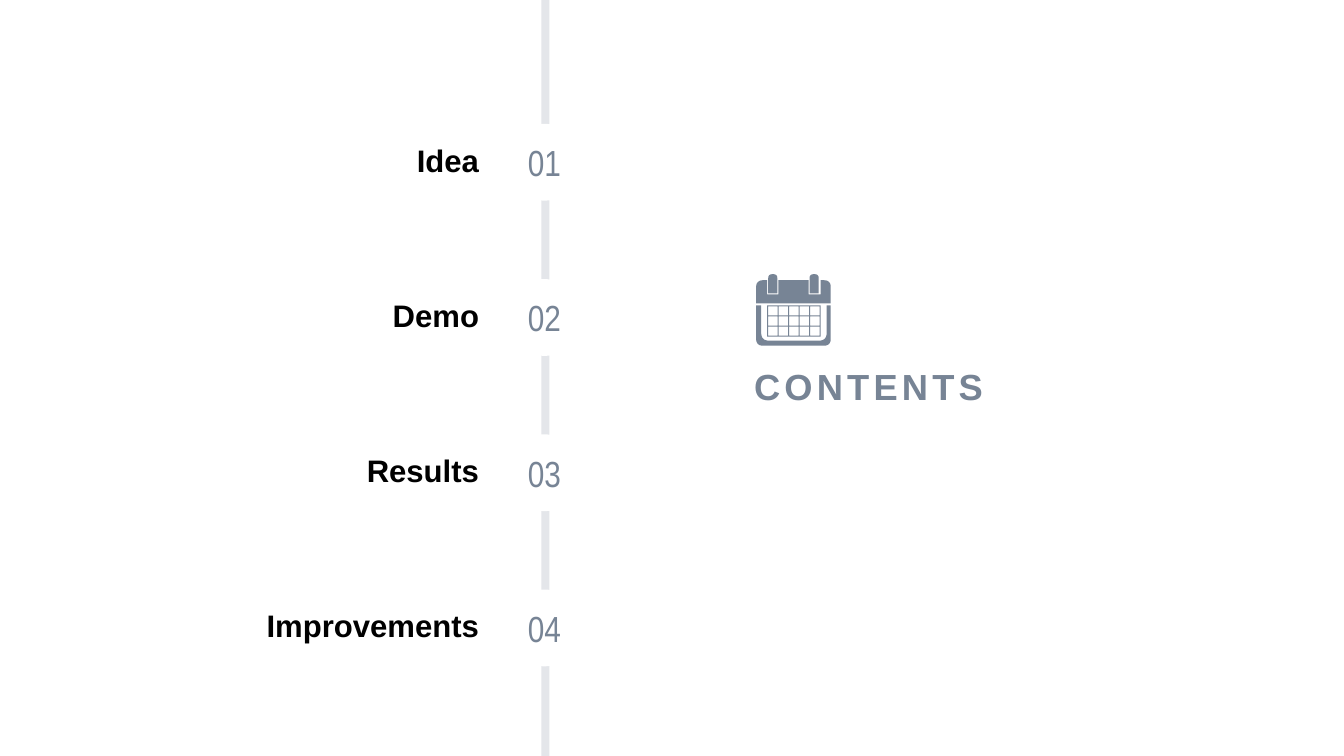
from dataclasses import dataclass
from typing import Any, NamedTuple

from pptx import Presentation
from pptx import util as u
from pptx.dml.color import RGBColor
from pptx.enum import shapes, text

SLATE, RAIL, WHITE, BLACK = "778495", "E4E6EA", "FFFFFF", "000000"
ICON_UNITS = 1000  # freeform units per inch


class Corner(NamedTuple):
    x: float
    y: float
    radius: float = 0


@dataclass(frozen=True)
class Area:
    left: float
    top: float
    width: float
    height: float

    def lengths(self) -> list[u.Length]:
        return [u.Inches(side) for side in (self.left, self.top, self.width, self.height)]

    def corners(self, radius: float = 0) -> list[Corner]:
        """Corners clockwise from the top left; the radius rounds the top two."""
        right, bottom = self.left + self.width, self.top + self.height
        return [Corner(self.left, self.top, radius), Corner(right, self.top, radius),
                Corner(right, bottom), Corner(self.left, bottom)]


@dataclass(frozen=True)
class Step:
    number: str
    title: str


STEPS = [Step("01", "Idea"), Step("02", "Demo"), Step("03", "Results"), Step("04", "Improvements")]
FIRST_TOP, STEP_PITCH = 1.26, 1.54

NUMBER_FORMAT = {"size": u.Pt(25.9), "name": "Arial Narrow"}
TITLE_FORMAT = {"size": u.Pt(22.2), "name": "Arial", "bold": True}
HEADING_FORMAT = {"size": u.Pt(25.9), "name": "Arial", "bold": True}


def colour(value: str) -> RGBColor:
    return RGBColor.from_string(value)


def paint(shape: Any, fill: str) -> None:
    shape.shadow.inherit = False
    shape.fill.solid()
    shape.fill.fore_color.rgb = colour(fill)
    shape.line.fill.background()


def write(box: Any, words: str, ink: str, formats: dict[str, Any],
          align: text.PP_ALIGN, anchor: text.MSO_ANCHOR) -> Any:
    """Fill the box with one paragraph and return that paragraph."""
    frame = box.text_frame
    frame.word_wrap = False
    frame.vertical_anchor = anchor
    para = frame.paragraphs[0]
    para.alignment = align
    span = para.add_run()
    span.text = words
    for name, value in formats.items():
        setattr(span.font, name, value)
    span.font.color.rgb = colour(ink)
    return para


def add_step(page: Any, step: Step, top: float) -> None:
    circle = page.shapes.add_shape(shapes.MSO_SHAPE.OVAL, *Area(5.05, top, 0.7, 0.7).lengths())
    paint(circle, WHITE)
    circle.line.color.rgb = colour(WHITE)
    circle.line.width = u.Pt(4.5)
    write(circle, step.number, SLATE, NUMBER_FORMAT, text.PP_ALIGN.CENTER, text.MSO_ANCHOR.MIDDLE)
    label = page.shapes.add_textbox(*Area(0.77, top + 0.14, 4.08, 0.42).lengths())
    write(label, step.title, BLACK, TITLE_FORMAT, text.PP_ALIGN.RIGHT, text.MSO_ANCHOR.BOTTOM)


def add_heading(page: Any) -> None:
    box = page.shapes.add_textbox(*Area(7.38, 3.41, 3.52, 0.66).lengths())
    para = write(box, "CONTENTS", SLATE, HEADING_FORMAT,
                 text.PP_ALIGN.LEFT, text.MSO_ANCHOR.MIDDLE)
    para.line_spacing = 1.4
    para.runs[0].font._element.set("spc", "300")


def toward(start: Corner, end: Corner, distance: float) -> Corner:
    length = ((end.x - start.x) ** 2 + (end.y - start.y) ** 2) ** 0.5
    share = distance / length
    return Corner(start.x + (end.x - start.x) * share, start.y + (end.y - start.y) * share)


def rounded(corners: list[Corner], pieces: int = 8) -> list[tuple[float, float]]:
    """Points of a closed outline, each rounded corner drawn as a quadratic curve."""
    points = []
    for index, corner in enumerate(corners):
        if not corner.radius:
            points.append((corner.x, corner.y))
            continue
        start = toward(corner, corners[index - 1], corner.radius)
        end = toward(corner, corners[(index + 1) % len(corners)], corner.radius)
        for piece in range(pieces + 1):
            t = piece / pieces
            weights = ((1 - t) ** 2, 2 * t * (1 - t), t ** 2)
            trio = (start, corner, end)
            points.append((sum(w * p.x for w, p in zip(weights, trio)),
                           sum(w * p.y for w, p in zip(weights, trio))))
    return points


def grid_outlines(grid: Area, columns: int, rows: int, rule: float) -> list[list[Corner]]:
    """The grid's edge, then the openings left between its rules."""
    pitch_x = (grid.width - rule) / columns
    pitch_y = (grid.height - rule) / rows
    cells = [Area(grid.left + rule + column * pitch_x, grid.top + rule + row * pitch_y,
                  pitch_x - rule, pitch_y - rule).corners()
             for row in range(rows) for column in range(columns)]
    return [grid.corners(), *cells]


def add_calendar(page: Any) -> None:
    frame = [Corner(7.5, 3.03), Corner(7.55, 3.03), Corner(7.55, 3.38, 0.08),
             Corner(8.2, 3.38, 0.08), Corner(8.2, 3.03), Corner(8.24, 3.03),
             Corner(8.24, 3.43, 0.07), Corner(7.5, 3.43, 0.07)]
    notches = [corner for left, right in ((7.61, 7.72), (8.02, 8.14))
               for corner in (Corner(left, 2.78), Corner(left, 2.92),
                              Corner(right, 2.92), Corner(right, 2.78))]
    header = [Corner(7.5, 2.78, 0.07), *notches, Corner(8.24, 2.78, 0.07),
              Corner(8.24, 3.01), Corner(7.5, 3.01)]
    rings = [Area(left, 2.72, 0.09, 0.19).corners(0.04) for left in (7.62, 8.03)]
    grid = grid_outlines(Area(7.61, 3.03, 0.53, 0.31), columns=5, rows=3, rule=0.01)

    builder = None
    for outline in [frame, header, *rings, *grid]:
        first, *rest = [(x * ICON_UNITS, y * ICON_UNITS) for x, y in rounded(outline)]
        if builder is None:
            builder = page.shapes.build_freeform(*first, scale=u.Inches(1) / ICON_UNITS)
        else:
            builder.move_to(*first)
        builder.add_line_segments(rest, close=True)
    paint(builder.convert_to_shape(), SLATE)


def main() -> None:
    deck = Presentation()
    deck.slide_width, deck.slide_height = u.Inches(13.33), u.Inches(7.5)
    page = deck.slides.add_slide(deck.slide_layouts[6])
    rail = page.shapes.add_shape(shapes.MSO_SHAPE.RECTANGLE, *Area(5.37, 0, 0.08, 7.5).lengths())
    paint(rail, RAIL)
    for index, step in enumerate(STEPS):
        add_step(page, step, FIRST_TOP + index * STEP_PITCH)
    add_heading(page)
    add_calendar(page)
    deck.save("out.pptx")


if __name__ == "__main__":
    main()
